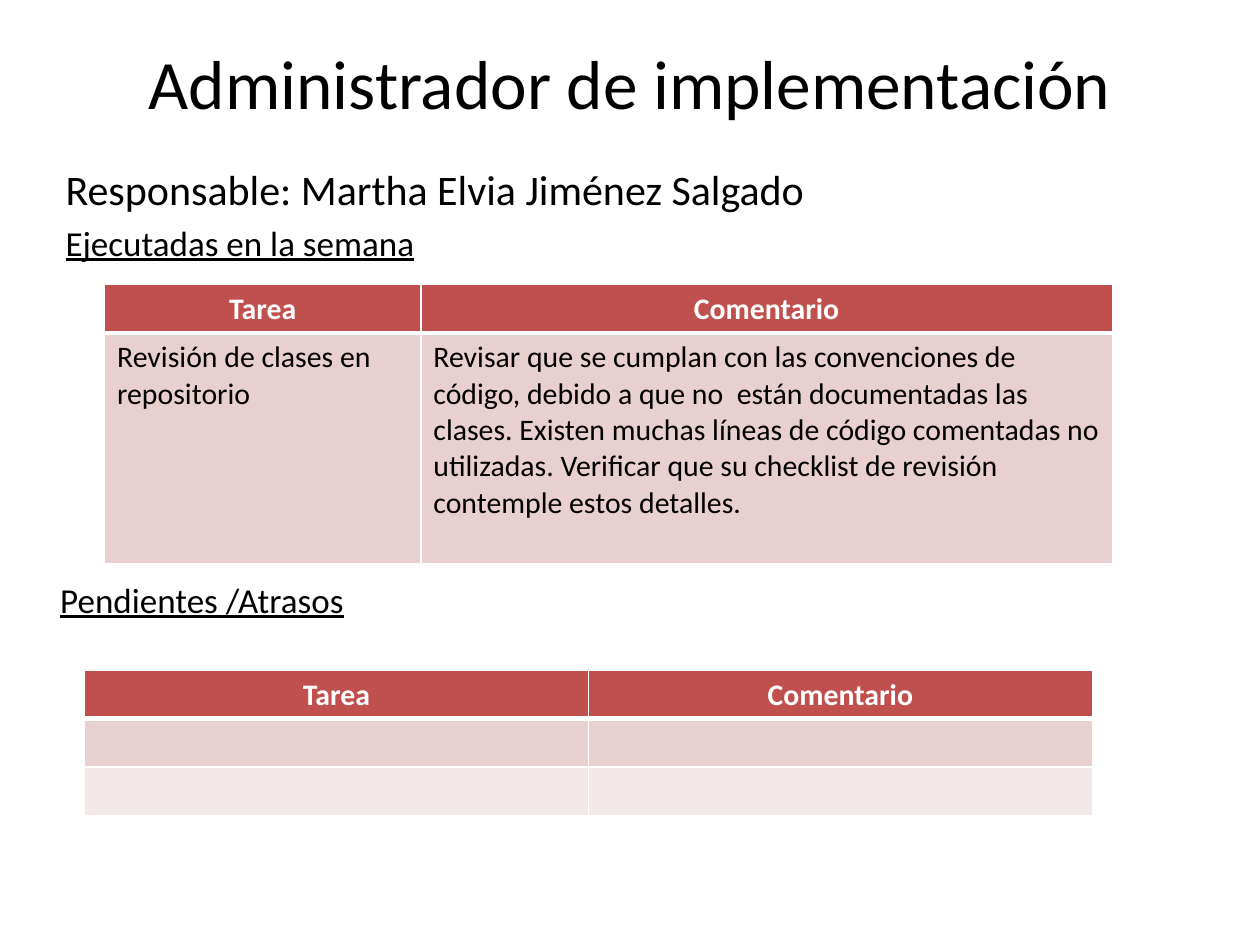
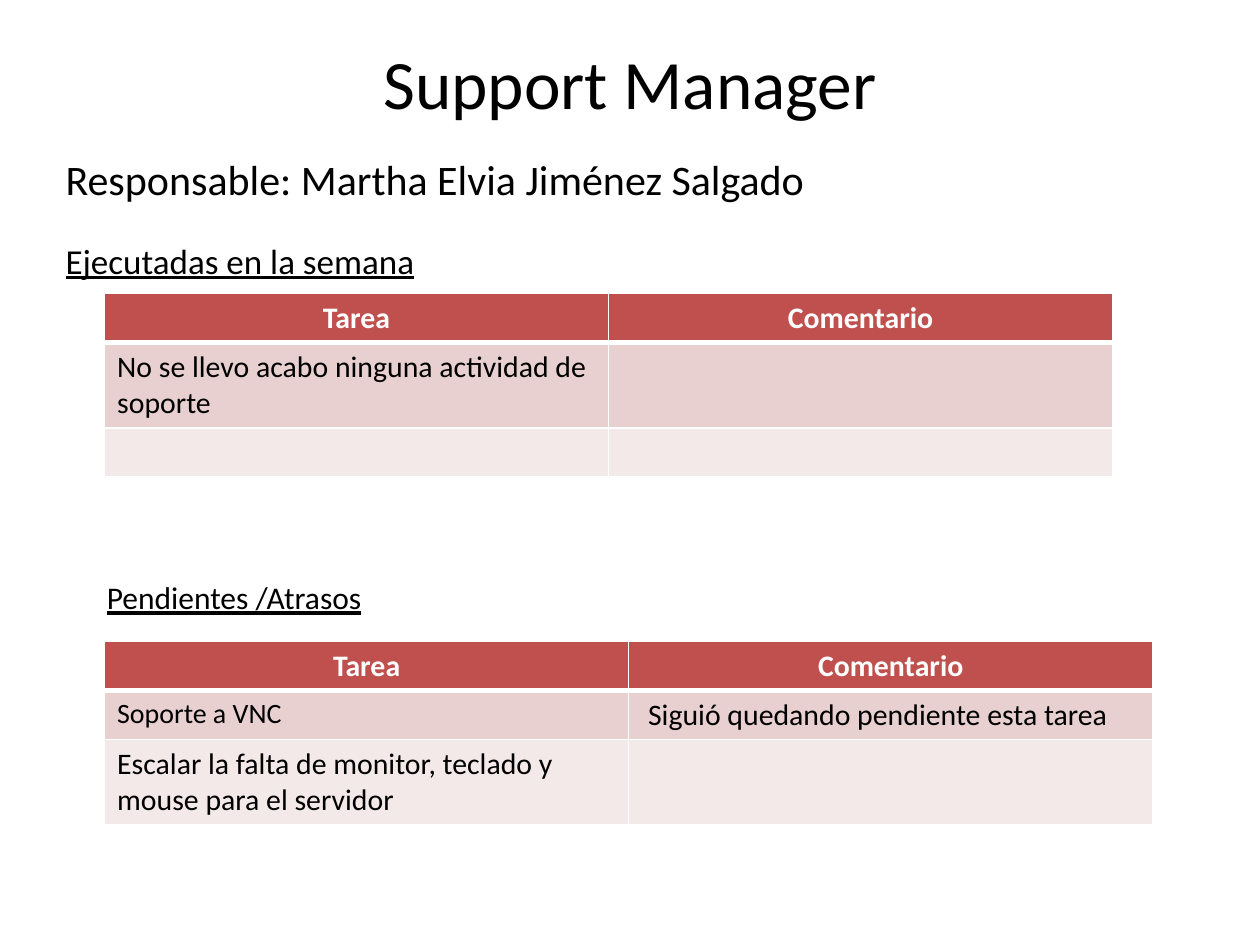
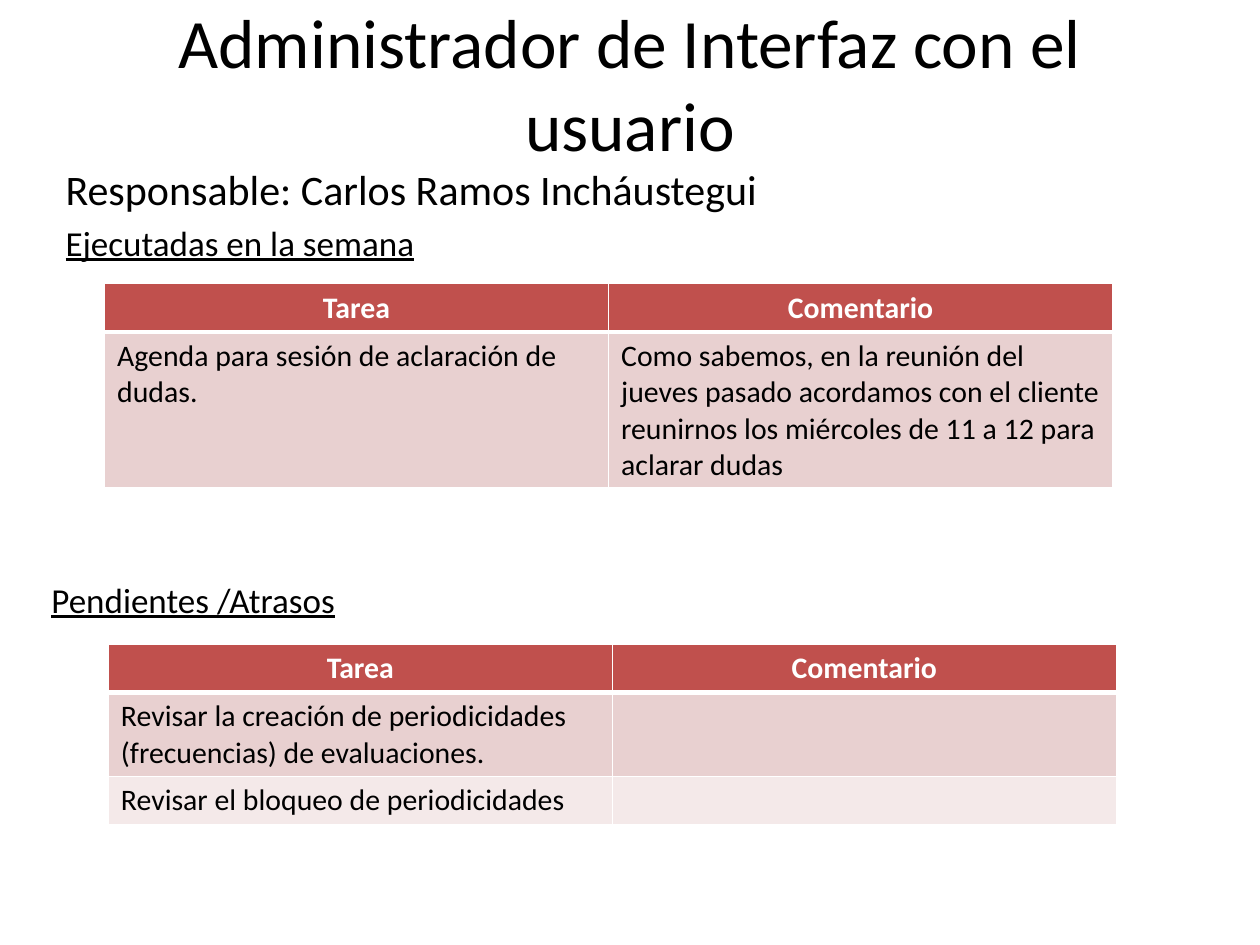
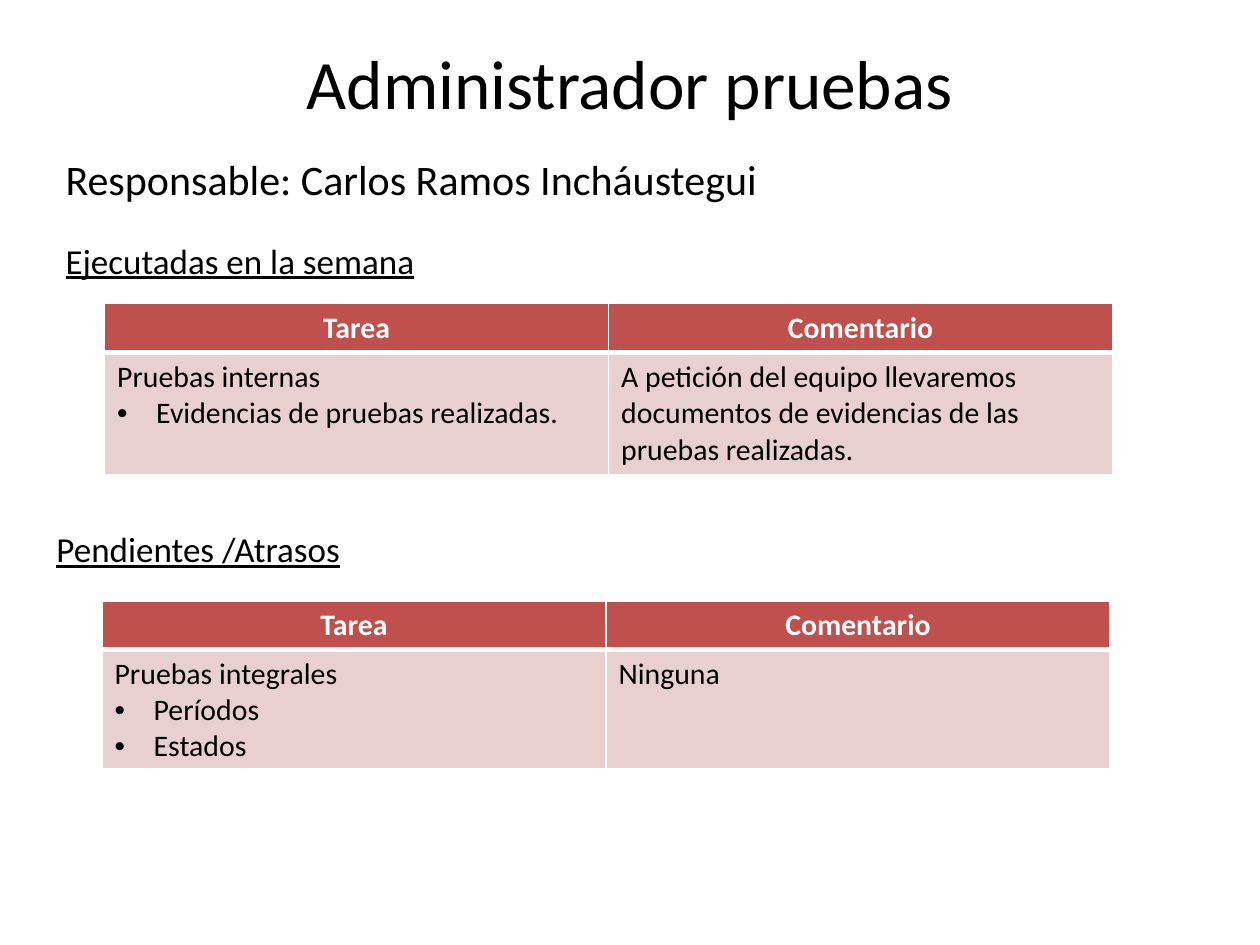
from lxml import etree
from pptx import Presentation
from pptx.dml.color import RGBColor
from pptx.enum.text import MSO_ANCHOR, MSO_AUTO_SIZE, PP_ALIGN
from pptx.oxml.ns import qn
from pptx.util import Inches, Pt

COLORS = {"text": "000000", "white": "FFFFFF", "header": "C0504D",
          "band_dark": "E8D0D0", "band_light": "F4E9E9"}
FONT = "Calibri"
CELL_SIZE = 17
ROW_HEIGHT = 0.37
HEADINGS = ("Tarea", "Comentario")
DONE = "Ejecutadas en la semana"
PENDING = "Pendientes /Atrasos"
MARTHA = "Responsable: Martha Elvia Jiménez Salgado"
CARLOS = "Responsable: Carlos Ramos Incháustegui"


class Report:
    """Holds the style of the weekly report and its current slide."""

    def __init__(self):
        """Start an empty 4:3 presentation."""
        self.prs = Presentation()
        self.prs.slide_width, self.prs.slide_height = Inches(10), Inches(7.5)
        self.slide = None

    def add_text(self, p, text, size, color="text", **formats):
        """Add one formatted run to a paragraph."""
        r = p.add_run()
        r.text = text
        formats = {"name": FONT, "size": Pt(size), **formats}
        for name, value in formats.items():
            setattr(r.font, name, value)
        r.font.color.rgb = RGBColor.from_string(COLORS[color])

    def place(self, sp, left, top, width, height):
        """Move and size a shape, in inches."""
        box = {"left": left, "top": top, "width": width, "height": height}
        for name, value in box.items():
            setattr(sp, name, Inches(value))

    def bullet(self, p, char=None, indent=0):
        """Give a paragraph a bullet with hanging indent, or none."""
        pPr = p._p.get_or_add_pPr()
        pPr.set("marL", str(Inches(indent)))
        pPr.set("indent", str(-Inches(indent)))
        if char:
            etree.SubElement(pPr, qn("a:buFont")).set("typeface", "Arial")
            etree.SubElement(pPr, qn("a:buChar")).set("char", char)
        else:
            etree.SubElement(pPr, qn("a:buNone"))

    def start(self, title):
        """Add a slide with its title."""
        self.slide = self.prs.slides.add_slide(self.prs.slide_layouts[1])
        sp = self.slide.shapes.title
        self.place(sp, 0.5, 0.3, 9, 0.7)
        tf = sp.text_frame
        tf.auto_size = MSO_AUTO_SIZE.NONE
        tf.vertical_anchor = MSO_ANCHOR.MIDDLE
        p = tf.paragraphs[0]
        p.alignment = PP_ALIGN.CENTER
        self.add_text(p, title, 39.6)

    def intro(self, person, top, height, gap=None):
        """Fill the body with the person in charge and the first heading."""
        sp = self.slide.placeholders[1]
        self.place(sp, 0.42, top, 9.33, height)
        tf = sp.text_frame
        tf.auto_size = MSO_AUTO_SIZE.NONE
        first, second = tf.paragraphs[0], tf.add_paragraph()
        if gap:
            second.space_before = Pt(gap)
        for p in (first, second):
            self.bullet(p, indent=0.38)
        self.add_text(first, person, 24)
        self.add_text(second, DONE, 20, underline=True)

    def pending(self, left, top, width=9.33, height=0.58, size=20, wrap=True):
        """Add the heading of the pending tasks."""
        sp = self.slide.shapes.add_textbox(
            Inches(left), Inches(top), Inches(width), Inches(height))
        sp.text_frame.word_wrap = wrap
        p = sp.text_frame.paragraphs[0]
        self.add_text(p, PENDING, size, underline=True)

    def cell(self, cell, fill, top=1, bottom=1):
        """Set the white borders and the fill of a cell."""
        tcPr = cell._tc.get_or_add_tcPr()
        for side, width in zip("LRTB", (1, 1, top, bottom)):
            ln = etree.SubElement(tcPr, qn(f"a:ln{side}"), w=str(Pt(width)))
            solid = etree.SubElement(ln, qn("a:solidFill"))
            etree.SubElement(solid, qn("a:srgbClr")).set("val", COLORS["white"])
        cell.fill.solid()
        cell.fill.fore_color.rgb = RGBColor.from_string(COLORS[fill])

    def cell_text(self, tf, lines):
        """Fill in a lead line and its bullets, or size the empty line."""
        for i, line in enumerate(lines):
            p = tf.add_paragraph() if i else tf.paragraphs[0]
            if i:
                self.bullet(p, "•", 0.31)
            if line:
                self.add_text(p, line, CELL_SIZE, bold=False)
            else:
                end = etree.SubElement(p._p, qn("a:endParaRPr"))
                end.set("sz", str(CELL_SIZE * 100))

    def table(self, left, top, rows, widths=(4, 4), row_height=ROW_HEIGHT):
        """Add a task table; a tuple in a cell is a lead line and bullets."""
        heights = [ROW_HEIGHT] + [row_height] * len(rows)
        table = self.slide.shapes.add_table(
            len(heights), len(widths), Inches(left), Inches(top),
            Inches(sum(widths)), Inches(sum(heights))).table
        for column, width in zip(table.columns, widths):
            column.width = Inches(width)
        for row, height in zip(table.rows, heights):
            row.height = Inches(height)
        for j, heading in enumerate(HEADINGS):
            cell = table.cell(0, j)
            self.cell(cell, "header", bottom=3)
            p = cell.text_frame.paragraphs[0]
            p.alignment = PP_ALIGN.CENTER
            self.add_text(p, heading, CELL_SIZE, "white", bold=True)
        for i, row in enumerate(rows, 1):
            for j, content in enumerate(row):
                cell = table.cell(i, j)
                self.cell(cell, "band_dark" if i % 2 else "band_light",
                          top=3 if i == 1 else 1)
                lines = (content,) if isinstance(content, str) else content
                self.cell_text(cell.text_frame, lines)
        return table


def implementation(report):
    """Build the slide of the implementation manager."""
    report.start("Administrador de implementación")
    report.intro(MARTHA, 1.25, 0.92)
    report.pending(0.38, 4.54)
    report.table(0.83, 2.26, [(
        "Revisión de clases en repositorio",
        "Revisar que se cumplan con las convenciones de código, debido a que "
        "no  están documentadas las clases. Existen muchas líneas de código "
        "comentadas no utilizadas. Verificar que su checklist de revisión "
        "contemple estos detalles.")], (2.51, 5.49), 1.83)
    report.table(0.67, 5.32, [("", ""), ("", "")])


def support(report):
    """Build the slide of the support manager."""
    report.start("Support Manager")
    report.intro(MARTHA, 1.17, 1.25, gap=20)
    report.table(0.83, 2.33, [
        ("No se llevo acabo ninguna actividad de soporte", ""), ("", "")])
    table = report.table(0.83, 5.09, [
        ("Soporte a VNC", " Siguió quedando pendiente esta tarea"),
        ("Escalar la falta de monitor, teclado y mouse para el servidor", "")],
        (4.16, 4.16))
    table.cell(1, 0).text_frame.paragraphs[0].runs[0].font.size = Pt(16)
    report.pending(0.75, 4.54, 2.24, 0.4, size=18, wrap=False)


def interface(report):
    """Build the slide of the user interface manager."""
    report.start("Administrador de Interfaz con el usuario")
    report.intro(CARLOS, 1.25, 0.92)
    report.pending(0.31, 4.54)
    report.table(0.83, 2.25, [(
        "Agenda para sesión de aclaración de dudas.",
        "Como sabemos, en la reunión del jueves pasado acordamos con el "
        "cliente reunirnos los miércoles de 11 a 12 para aclarar dudas")])
    report.table(0.86, 5.11, [
        ("Revisar la creación de periodicidades (frecuencias) de "
         "evaluaciones.", ""),
        ("Revisar el bloqueo de periodicidades", "")])


def testing(report):
    """Build the slide of the test manager."""
    report.start("Administrador pruebas")
    report.intro(CARLOS, 1.17, 1.25, gap=20)
    report.table(0.83, 2.41, [(
        ("Pruebas internas", "Evidencias de pruebas realizadas."),
        "A petición del equipo llevaremos documentos de evidencias de las "
        "pruebas realizadas.")])
    report.pending(0.35, 4.14)
    report.table(0.81, 4.77, [
        (("Pruebas integrales", "Períodos", "Estados"), "Ninguna")])


report = Report()
for build in (implementation, support, interface, testing):
    build(report)
report.prs.save("out.pptx")
